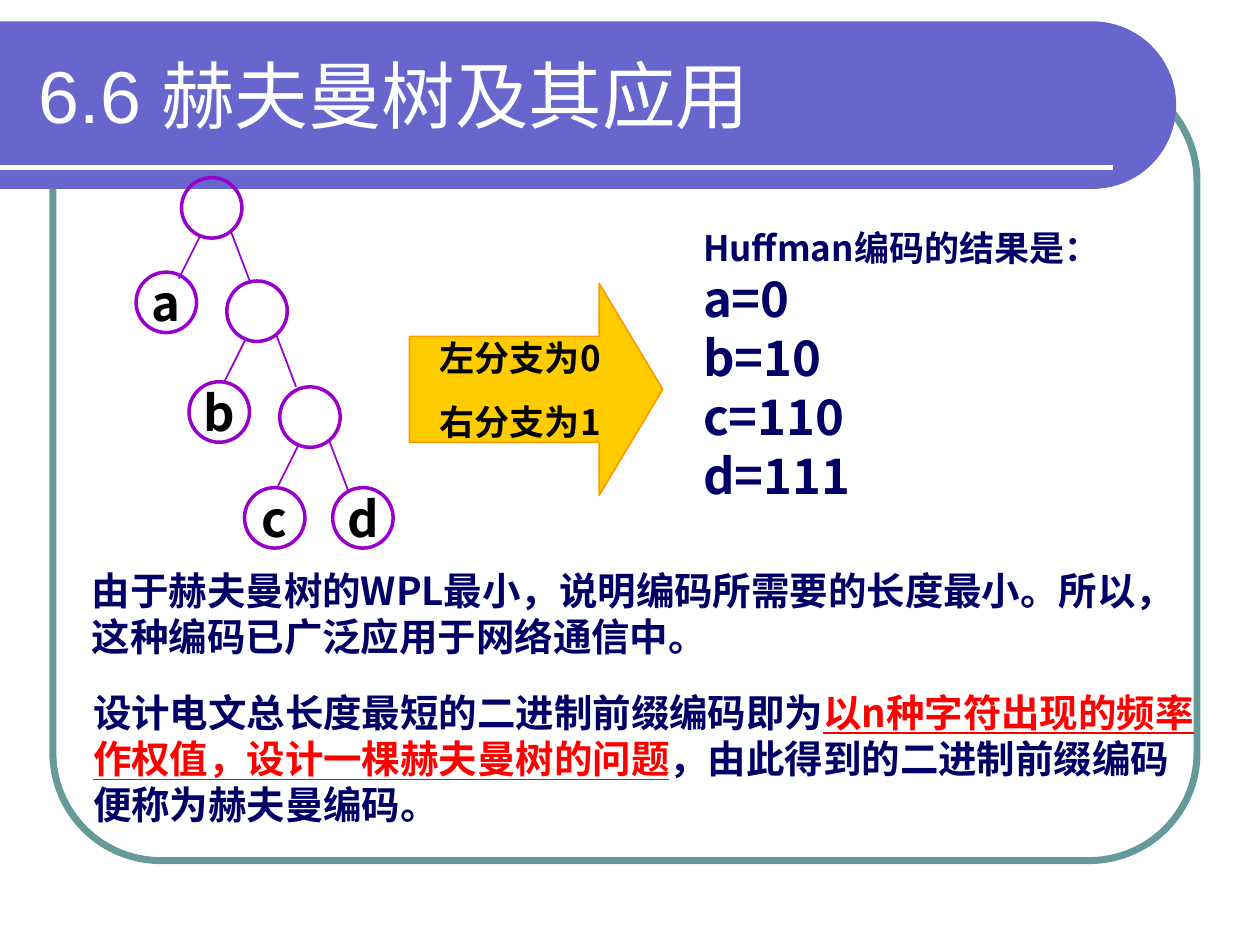
import math
from dataclasses import dataclass
from typing import Optional

from lxml import etree
from pptx import Presentation
from pptx.dml.color import RGBColor
from pptx.enum.shapes import MSO_CONNECTOR, MSO_SHAPE
from pptx.enum.text import MSO_ANCHOR, PP_ALIGN
from pptx.oxml.ns import qn
from pptx.util import Inches, Pt

LEFT, CENTER = PP_ALIGN.LEFT, PP_ALIGN.CENTER
TOP, MIDDLE = MSO_ANCHOR.TOP, MSO_ANCHOR.MIDDLE
ELLIPSE, ARROW = MSO_SHAPE.OVAL, MSO_SHAPE.RIGHT_ARROW
FRAME = MSO_SHAPE.ROUNDED_RECTANGLE
STRAIGHT = MSO_CONNECTOR.STRAIGHT


@dataclass(frozen=True)
class Theme:
    white: str = "FFFFFF"
    black: str = "000000"
    navy: str = "000066"
    red: str = "FF0000"
    banner: str = "6666CC"
    frame: str = "669999"
    tree: str = "9900CC"
    arrow: str = "FFCC00"
    arrow_edge: str = "FF9900"
    title_font: str = "Arial"
    body_font: str = "Noto Sans CJK SC"
    title: float = 42
    code: float = 28
    body: float = 22
    label: float = 20
    leading: float = 1.2


THEME = Theme()


@dataclass(frozen=True)
class Run:
    text: str
    size: float
    color: str
    bold: bool = True
    underline: bool = False
    font: str = THEME.body_font


@dataclass(frozen=True)
class Node:
    x: float
    y: float
    label: Optional[str] = None  # inner nodes have no label


@dataclass(frozen=True)
class Branch:
    start: tuple[float, float]
    end: tuple[float, float]


# Grid of 100 columns by 75 rows; all positions below are in grid units
presentation = Presentation()
presentation.slide_width, presentation.slide_height = Inches(10), Inches(7.5)
COLUMN = presentation.slide_width // 100
ROW = presentation.slide_height // 75
slide = presentation.slides.add_slide(presentation.slide_layouts[6])
shapes = slide.shapes


def place(*values: float) -> list[int]:
    """Turn alternating columns and rows into slide lengths."""
    return [round(value * (ROW if index % 2 else COLUMN))
            for index, value in enumerate(values)]


def paint(shape, fill: Optional[str], line: Optional[str], width: float = 1) -> None:
    shape.shadow.inherit = False
    for target, color in ((shape.fill, fill), (shape.line.fill, line)):
        if color is None:
            target.background()
        else:
            target.solid()
            target.fore_color.rgb = RGBColor.from_string(color)
    if line is not None:
        shape.line.width = Pt(width)


def draw_line(start: tuple[float, float], end: tuple[float, float],
              color: str, width: float) -> None:
    connector = shapes.add_connector(STRAIGHT, *place(*start, *end))
    connector.line.color.rgb = RGBColor.from_string(color)
    connector.line.width = Pt(width)
    etree.SubElement(connector._element.spPr, qn("a:effectLst"))


def write(shape, paragraphs: list[list[Run]], align=LEFT, anchor=TOP,
          inset: tuple[float, float] = (0, 0), wrap: bool = True,
          gap: float = 0) -> None:
    frame = shape.text_frame
    frame.word_wrap = wrap
    frame.vertical_anchor = anchor
    frame.margin_left = frame.margin_right = Inches(inset[0])
    frame.margin_top = frame.margin_bottom = Inches(inset[1])
    for index, runs in enumerate(paragraphs):
        paragraph = frame.add_paragraph() if index else frame.paragraphs[0]
        paragraph.alignment = align
        paragraph.line_spacing = Pt(runs[0].size * THEME.leading)
        if index and gap:
            paragraph.space_before = Pt(gap)
        for item in runs:
            run = paragraph.add_run()
            run.text = item.text
            font = run.font
            font.size, font.bold, font.name = Pt(item.size), item.bold, item.font
            font.underline = item.underline
            font.color.rgb = RGBColor.from_string(item.color)
            east_asian = etree.SubElement(run._r.rPr, qn("a:ea"))
            east_asian.set("typeface", THEME.body_font)


def add_text(box: tuple[float, ...], paragraphs: list[list[Run]], **options) -> None:
    write(shapes.add_textbox(*place(*box)), paragraphs, **options)


PADDING = (0.1, 0.05)

# Rounded frame
frame_shape = shapes.add_shape(FRAME, *place(4.2, 5.8, 90.8, 62.5))
frame_shape.adjustments[0] = 0.137
paint(frame_shape, None, THEME.frame, 4)

# Title banner with a half-round right end
BANNER_TOP, BANNER_BOTTOM, BANNER_STRAIGHT = 1.7, 15, 86.7
radius = (BANNER_BOTTOM - BANNER_TOP) / 2
arc = [(BANNER_STRAIGHT + radius * math.cos(math.radians(angle)),
        BANNER_TOP + radius + radius * math.sin(math.radians(angle)))
       for angle in range(-90, 91, 3)]
builder = shapes.build_freeform(*place(0, BANNER_TOP), scale=1.0)
builder.add_line_segments([tuple(place(*point)) for point in arc + [(0, BANNER_BOTTOM)]],
                          close=True)
paint(builder.convert_to_shape(), THEME.banner, None)
draw_line((0, 13.3), (88.3, 13.3), THEME.white, 3)

# Huffman tree: centres of the nodes, and branches relative to an inner node
DIAMETER = 4.8
NODES = [
    Node(16.8, 16.5), Node(20.4, 24.7), Node(24.6, 33.1),
    Node(13.2, 24, "a"), Node(17.4, 32.7, "b"),
    Node(21.8, 41.1, "c"), Node(28.8, 41.1, "d"),
]
BRANCHES = [Branch((-0.9, 2.2), (-2.6, 5.6)), Branch((1.5, 1.8), (3.1, 6))]


def draw_node(node: Node) -> None:
    circle = shapes.add_shape(ELLIPSE, *place(
        node.x - DIAMETER / 2, node.y - DIAMETER / 2, DIAMETER, DIAMETER))
    paint(circle, None, THEME.tree, 2)
    if node.label:
        write(circle, [[Run(node.label, THEME.code, THEME.black)]],
              align=CENTER, anchor=MIDDLE, inset=PADDING, wrap=False)
        return
    for branch in BRANCHES:
        draw_line((node.x + branch.start[0], node.y + branch.start[1]),
                  (node.x + branch.end[0], node.y + branch.end[1]), THEME.tree, 1)


for tree_node in NODES:
    draw_node(tree_node)

# Arrow with the branch rule
arrow = shapes.add_shape(ARROW, *place(32.5, 22.5, 20.1, 16.8))
arrow.adjustments[0], arrow.adjustments[1] = 0.5, 0.3
paint(arrow, THEME.arrow, THEME.arrow_edge)
write(arrow, [[Run(text, THEME.label, THEME.black)] for text in ("左分支为0", "右分支为1")],
      align=CENTER, anchor=MIDDLE, gap=12.5)

# Resulting codes
add_text((55.8, 18, 40.8, 22),
         [[Run("Huffman编码的结果是：", THEME.label, THEME.navy)]]
         + [[Run(code, THEME.code, THEME.navy)]
            for code in ("a=0", "b=10", "c=110", "d=111")])

# Explanations
add_text((7.3, 45, 86.8, 7.3), [[Run(
    "由于赫夫曼树的WPL最小，说明编码所需要的长度最小。所以，这种编码已广泛应用于网络通信中。",
    THEME.body, THEME.navy)]])
add_text((6.4, 54.2, 90, 12), [[
    Run("设计电文总长度最短的二进制前缀编码即为", THEME.body, THEME.navy),
    Run("以n种字符出现的频率作权值，设计一棵赫夫曼树的问题", THEME.body, THEME.red,
        underline=True),
    Run("，由此得到的二进制前缀编码便称为赫夫曼编码。", THEME.body, THEME.navy),
]], inset=PADDING)

# Title
add_text((2.1, 2.5, 87.7, 10), [[Run(
    "6.6 赫夫曼树及其应用", THEME.title, THEME.white, bold=False,
    font=THEME.title_font)]], anchor=MIDDLE, inset=PADDING)

presentation.save("out.pptx")
